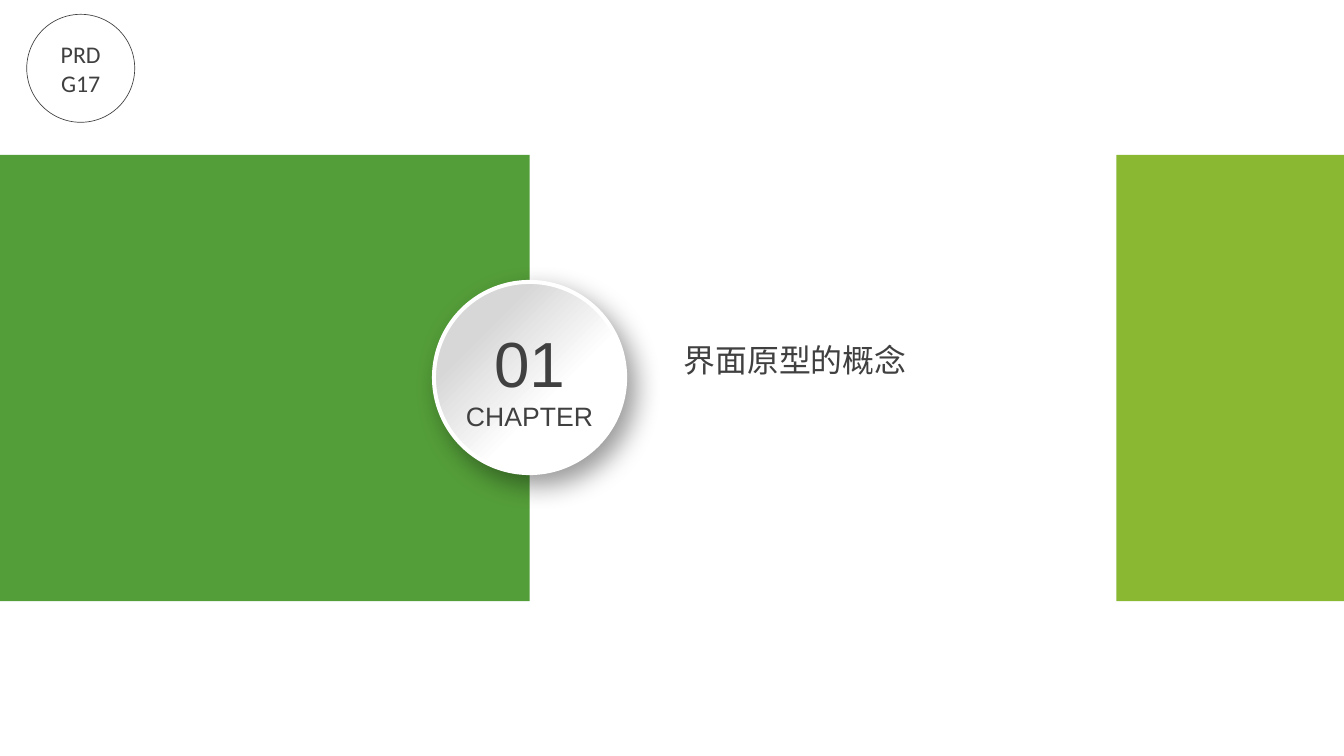
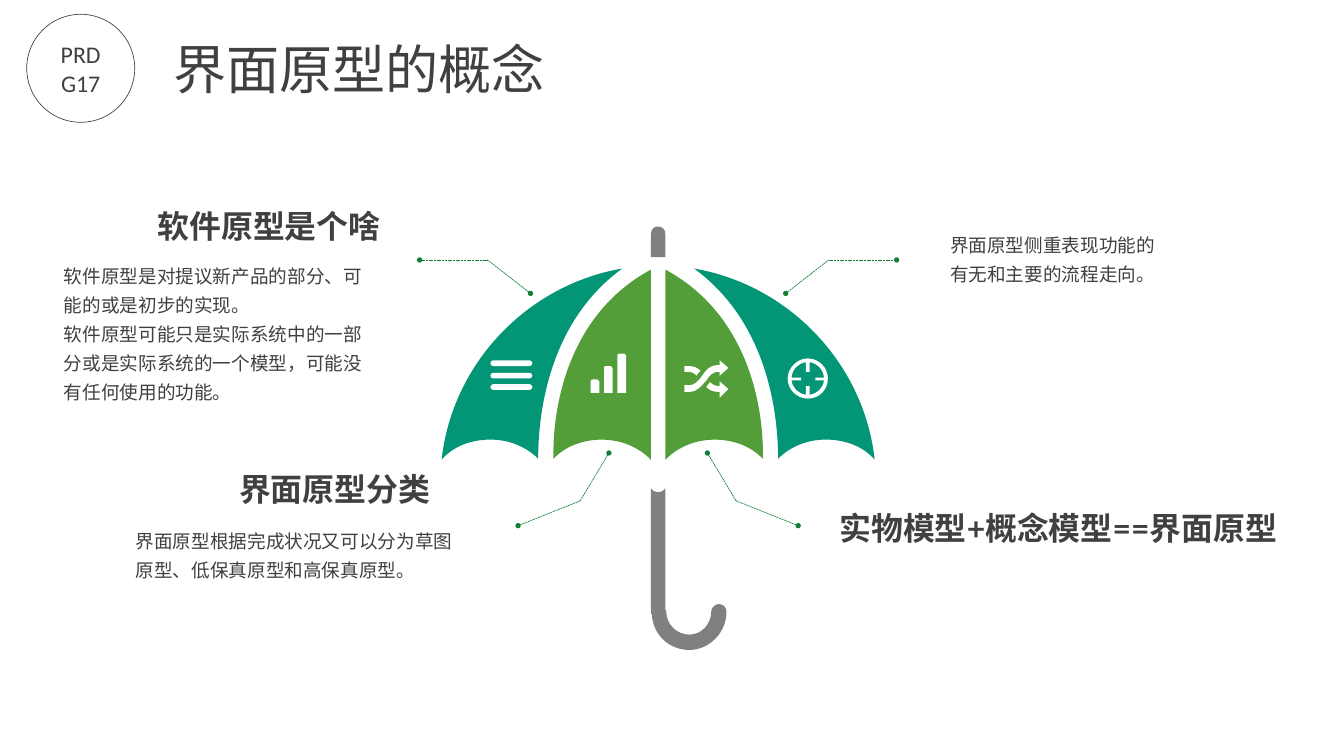
"""Build a chapter divider and an umbrella diagram about interface prototypes."""
from dataclasses import dataclass

from lxml.etree import SubElement
from pptx import Presentation
from pptx.dml.color import RGBColor
from pptx.enum.dml import MSO_LINE
from pptx.enum.shapes import MSO_CONNECTOR, MSO_SHAPE
from pptx.enum.text import MSO_ANCHOR, PP_ALIGN
from pptx.oxml.ns import qn
from pptx.util import Inches, Pt


@dataclass(frozen=True)
class Theme:
    green: RGBColor = RGBColor.from_string("549E39")
    lime: RGBColor = RGBColor.from_string("8AB833")
    teal: RGBColor = RGBColor.from_string("029676")
    callout: RGBColor = RGBColor.from_string("108036")
    gray: RGBColor = RGBColor.from_string("808080")
    silver: RGBColor = RGBColor.from_string("D7D7D7")
    white: RGBColor = RGBColor.from_string("FFFFFF")
    ink: RGBColor = RGBColor.from_string("404040")
    title_font: str = "Arial"
    heading_font: str = "Lato"
    body_font: str = "Noto Sans CJK SC"
    badge_font: str = "Calibri"
    number_size: int = 48
    title_size: int = 40
    heading_size: int = 24
    chapter_size: int = 20
    badge_size: int = 18
    body_size: int = 14


theme = Theme()


def set_text(shape, lines, font, size, align=PP_ALIGN.LEFT, anchor=MSO_ANCHOR.TOP,
             inset=(0, 0), spacing=None, bold=False):
    frame = shape.text_frame
    frame.word_wrap = True
    frame.vertical_anchor = anchor
    frame.margin_left = frame.margin_right = Inches(inset[0])
    frame.margin_top = frame.margin_bottom = Inches(inset[1])
    frame.text = "\n".join(lines)
    for paragraph in frame.paragraphs:
        paragraph.alignment = align
        if spacing:
            paragraph.line_spacing = spacing
        paragraph.font.name = font
        paragraph.font.size = Pt(size)
        paragraph.font.bold = bold
        paragraph.font.color.rgb = theme.ink
        defaults = paragraph._p.pPr.find(qn("a:defRPr"))
        SubElement(defaults, qn("a:ea")).set("typeface", theme.body_font)


def paint(shape, color):
    shape.shadow.inherit = False
    shape.fill.solid()
    shape.fill.fore_color.rgb = color
    shape.line.fill.background()


presentation = Presentation()
presentation.slide_width = Inches(14.06)
presentation.slide_height = Inches(7.91)
blank = presentation.slide_layouts[6]
chapter_slide = presentation.slides.add_slide(blank)
umbrella_slide = presentation.slides.add_slide(blank)

for left, width, color in ((0, 5.54, theme.green), (11.68, 2.38, theme.lime)):
    band = chapter_slide.shapes.add_shape(
        MSO_SHAPE.RECTANGLE, Inches(left), Inches(1.62), Inches(width), Inches(4.67))
    paint(band, color)

disc = chapter_slide.shapes.add_shape(
    MSO_SHAPE.OVAL, Inches(4.54), Inches(2.95), Inches(2), Inches(2))
disc.fill.gradient()
disc.fill.gradient_angle = 315
for stop, position, color in zip(
        disc.fill.gradient_stops, (0.25, 0.62), (theme.silver, theme.white)):
    stop.position = position
    stop.color.rgb = color
disc.line.color.rgb = theme.white
disc.line.width = Pt(3)
disc.shadow.inherit = False
effects = disc._element.spPr.find(qn("a:effectLst"))
shadow = SubElement(effects, qn("a:outerShdw"), blurRad=str(Pt(20)), dist=str(Pt(10)),
                    dir="3000000", algn="tl", rotWithShape="0")
shadow_color = SubElement(shadow, qn("a:srgbClr"), val="000000")
SubElement(shadow_color, qn("a:alpha"), val="40000")

number = chapter_slide.shapes.add_textbox(
    Inches(4.71), Inches(3.38), Inches(1.66), Inches(1.14))
set_text(number, ["01", "CHAPTER"], theme.title_font, theme.number_size,
         PP_ALIGN.CENTER, MSO_ANCHOR.MIDDLE)
number.text_frame.paragraphs[1].font.size = Pt(theme.chapter_size)

mirror_sum = 13.77
right_callouts = (
    ((8.22, 3.07), (8.67, 2.72), (9.38, 2.72)),
    ((7.4, 4.74), (7.7, 5.24), (8.35, 5.5)),
)
left_callouts = [[(mirror_sum - x, y) for x, y in callout] for callout in right_callouts]
for start, bend, end in (*right_callouts, *left_callouts):
    callout_group = umbrella_slide.shapes.add_group_shape()
    for first, second, dot in ((start, bend, "a:headEnd"), (bend, end, "a:tailEnd")):
        connector = callout_group.shapes.add_connector(
            MSO_CONNECTOR.STRAIGHT, Inches(first[0]), Inches(first[1]),
            Inches(second[0]), Inches(second[1]))
        connector.line.color.rgb = theme.callout
        connector.line.width = Pt(0.5)
        connector.line.dash_style = MSO_LINE.SQUARE_DOT
        SubElement(connector.line._get_or_add_ln(), qn(dot), type="oval", w="sm", len="sm")
        SubElement(connector._element.spPr, qn("a:effectLst"))

outer_panel = [
    (5.13, 4.6), (4.93, 4.6, 4.74, 4.67, 4.62, 4.81), (4.73, 3.8, 5.52, 2.98, 6.51, 2.81),
    (5.68, 3.41, 5.63, 4.47, 5.63, 4.8), (5.5, 4.67, 5.32, 4.6, 5.13, 4.6)]
inner_panel = [
    (6.29, 4.6), (6.1, 4.6, 5.91, 4.67, 5.79, 4.8), (5.78, 4.49, 5.83, 3.35, 6.81, 2.82),
    (6.81, 4.81), (6.67, 4.67, 6.49, 4.6, 6.29, 4.6)]
handle = [
    (6.88, 5.15), (6.85, 5.15, 6.82, 5.13, 6.81, 5.11), (6.81, 6.4),
    (6.81, 6.41, 6.81, 6.43, 6.82, 6.43), (6.83, 6.64, 7, 6.8, 7.21, 6.8),
    (7.42, 6.8, 7.6, 6.62, 7.6, 6.4), (7.6, 6.36, 7.57, 6.32, 7.52, 6.32),
    (7.48, 6.32, 7.44, 6.36, 7.44, 6.4), (7.44, 6.53, 7.34, 6.64, 7.21, 6.64),
    (7.08, 6.64, 6.97, 6.53, 6.97, 6.4), (6.97, 6.4, 6.97, 6.39, 6.96, 6.38),
    (6.96, 5.11), (6.95, 5.13, 6.92, 5.15, 6.88, 5.15)]
tip = [
    (6.96, 2.69), (6.96, 2.45), (6.96, 2.4, 6.93, 2.37, 6.88, 2.37),
    (6.84, 2.37, 6.81, 2.4, 6.81, 2.45), (6.81, 2.69)]
menu_lines = [
    [(5.54, y), (5.16, y), (5.15, y, 5.13, y + 0.01, 5.13, y + 0.03),
     (5.13, y + 0.05, 5.15, y + 0.06, 5.16, y + 0.06), (5.54, y + 0.06),
     (5.55, y + 0.06, 5.57, y + 0.05, 5.57, y + 0.03),
     (5.57, y + 0.01, 5.55, y, 5.54, y)]
    for y in (3.77, 3.9, 4.02)]
chart_bars = [
    [(x + 0.07, y), (x + 0.02, y), (x, y, x, y + 0.01, x, y + 0.02), (x, 4.11),
     (x + 0.09, 4.11), (x + 0.09, y + 0.02),
     (x + 0.09, y + 0.01, x + 0.08, y, x + 0.07, y)]
    for x, y in ((6.46, 3.7), (6.32, 3.83), (6.18, 3.97))]
shuffle_lower_arrow = [
    (7.53, 4.04), (7.51, 4.04), (7.48, 4.04, 7.45, 4.02, 7.43, 4),
    (7.43, 4, 7.43, 4, 7.42, 4.01), (7.41, 4.02, 7.4, 4.03, 7.39, 4.05),
    (7.42, 4.08, 7.46, 4.1, 7.51, 4.1), (7.53, 4.1), (7.53, 4.16), (7.62, 4.07),
    (7.53, 3.99)]
shuffle_upper_tail = [
    (7.29, 3.93), (7.29, 3.92, 7.3, 3.92, 7.3, 3.91), (7.31, 3.9, 7.32, 3.89, 7.33, 3.88),
    (7.3, 3.85, 7.26, 3.83, 7.21, 3.83), (7.16, 3.83), (7.16, 3.89), (7.21, 3.89),
    (7.24, 3.89, 7.27, 3.91, 7.29, 3.93)]
shuffle_crossing = [
    (7.51, 3.89), (7.53, 3.89), (7.53, 3.93), (7.62, 3.85), (7.53, 3.77), (7.53, 3.82),
    (7.51, 3.82), (7.42, 3.82, 7.38, 3.88, 7.34, 3.94), (7.3, 3.99, 7.27, 4.03, 7.21, 4.03),
    (7.16, 4.03), (7.16, 4.1), (7.21, 4.1), (7.3, 4.1, 7.34, 4.03, 7.39, 3.98),
    (7.42, 3.93, 7.46, 3.89, 7.51, 3.89)]
crosshair = [
    (8.47, 4.13), (8.47, 4.04), (8.43, 4.04), (8.43, 4.13),
    (8.35, 4.12, 8.29, 4.06, 8.28, 3.98), (8.38, 3.98), (8.38, 3.95), (8.28, 3.95),
    (8.29, 3.86, 8.35, 3.8, 8.43, 3.79), (8.43, 3.89), (8.47, 3.89), (8.47, 3.79),
    (8.55, 3.8, 8.61, 3.86, 8.62, 3.95), (8.53, 3.95), (8.53, 3.98), (8.62, 3.98),
    (8.61, 4.06, 8.55, 4.12, 8.47, 4.13)]
target_rim = [
    (8.45, 3.75), (8.34, 3.75, 8.24, 3.85, 8.24, 3.96), (8.24, 4.08, 8.34, 4.17, 8.45, 4.17),
    (8.57, 4.17, 8.66, 4.08, 8.66, 3.96), (8.66, 3.85, 8.57, 3.75, 8.45, 3.75)]

right_inner, right_outer = [
    [tuple(mirror_sum - value if index % 2 == 0 else value
           for index, value in enumerate(segment)) for segment in panel]
    for panel in (inner_panel, outer_panel)]
outlines = (
    ([outer_panel], theme.teal),
    ([inner_panel], theme.green),
    ([right_inner], theme.green),
    ([right_outer], theme.teal),
    ([handle], theme.gray),
    ([tip], theme.gray),
    (menu_lines, theme.white),
    (chart_bars, theme.white),
    ([shuffle_lower_arrow, shuffle_upper_tail, shuffle_crossing], theme.white),
    ([crosshair, target_rim], theme.white),
)
umbrella = umbrella_slide.shapes.add_group_shape()
for contours, color in outlines:
    builder = None
    for contour in contours:
        points = [(Inches(segment[-2]), Inches(segment[-1])) for segment in contour]
        if builder is None:
            builder = umbrella.shapes.build_freeform(*points[0])
        else:
            builder.move_to(*points[0])
        builder.add_line_segments(points[1:], close=True)
    shape = builder.convert_to_shape()
    paint(shape, color)
    segments = [segment for contour in contours for segment in contour[1:]]
    for element, segment in zip(list(shape._element.iter(qn("a:lnTo"))), segments):
        if len(segment) == 6:
            element.tag = qn("a:cubicBezTo")
            for index, (x, y) in enumerate((segment[:2], segment[2:4])):
                element.insert(index, element.makeelement(
                    qn("a:pt"), x=str(Inches(x) - shape.left), y=str(Inches(y) - shape.top)))

headings = (
    ("软件原型是个啥", 1.52, 2.11, 2.57, PP_ALIGN.RIGHT),
    ("实物模型+概念模型==界面原型", 8.67, 5.27, 5.29, PP_ALIGN.LEFT),
    ("界面原型分类", 1.52, 4.86, 3.09, PP_ALIGN.RIGHT),
)
for text, left, top, width, align in headings:
    heading = umbrella_slide.shapes.add_textbox(
        Inches(left), Inches(top), Inches(width), Inches(0.51))
    set_text(heading, [text], theme.heading_font, theme.heading_size, align,
             inset=(0.11, 0.05), bold=True)

descriptions = (
    (["软件原型是对提议新产品的部分、可能的或是初步的实现。",
      "软件原型可能只是实际系统中的一部分或是实际系统的一个模型，可能没有任何使用的功能。"],
     0.56, 2.65, 3.47, 1.64),
    (["界面原型侧重表现功能的有无和主要的流程走向。"], 9.83, 2.33, 2.44, 0.69),
    (["界面原型根据完成状况又可以分为草图原型、低保真原型和高保真原型。"],
     1.31, 5.43, 3.71, 0.69),
)
for lines, left, top, width, height in descriptions:
    description = umbrella_slide.shapes.add_textbox(
        Inches(left), Inches(top), Inches(width), Inches(height))
    set_text(description, lines, theme.body_font, theme.body_size,
             inset=(0.11, 0.05), spacing=1.3)

titles = (
    (chapter_slide, 7.15, 3.56, 3.48, 0.4, theme.heading_size, MSO_ANCHOR.TOP),
    (umbrella_slide, 1.81, 0.38, 4.32, 0.67, theme.title_size, MSO_ANCHOR.MIDDLE),
)
for slide, left, top, width, height, size, anchor in titles:
    title = slide.shapes.add_textbox(
        Inches(left), Inches(top), Inches(width), Inches(height))
    set_text(title, ["界面原型的概念"], theme.title_font, size, anchor=anchor)
    badge = slide.shapes.add_shape(
        MSO_SHAPE.OVAL, Inches(0.28), Inches(0.15), Inches(1.13), Inches(1.13))
    badge.shadow.inherit = False
    badge.fill.background()
    badge.line.color.rgb = theme.ink
    badge.line.width = Pt(0.5)
    set_text(badge, ["PRD", "G17"], theme.badge_font, theme.badge_size,
             PP_ALIGN.CENTER, MSO_ANCHOR.MIDDLE, (0.1, 0.05))

presentation.save("out.pptx")
